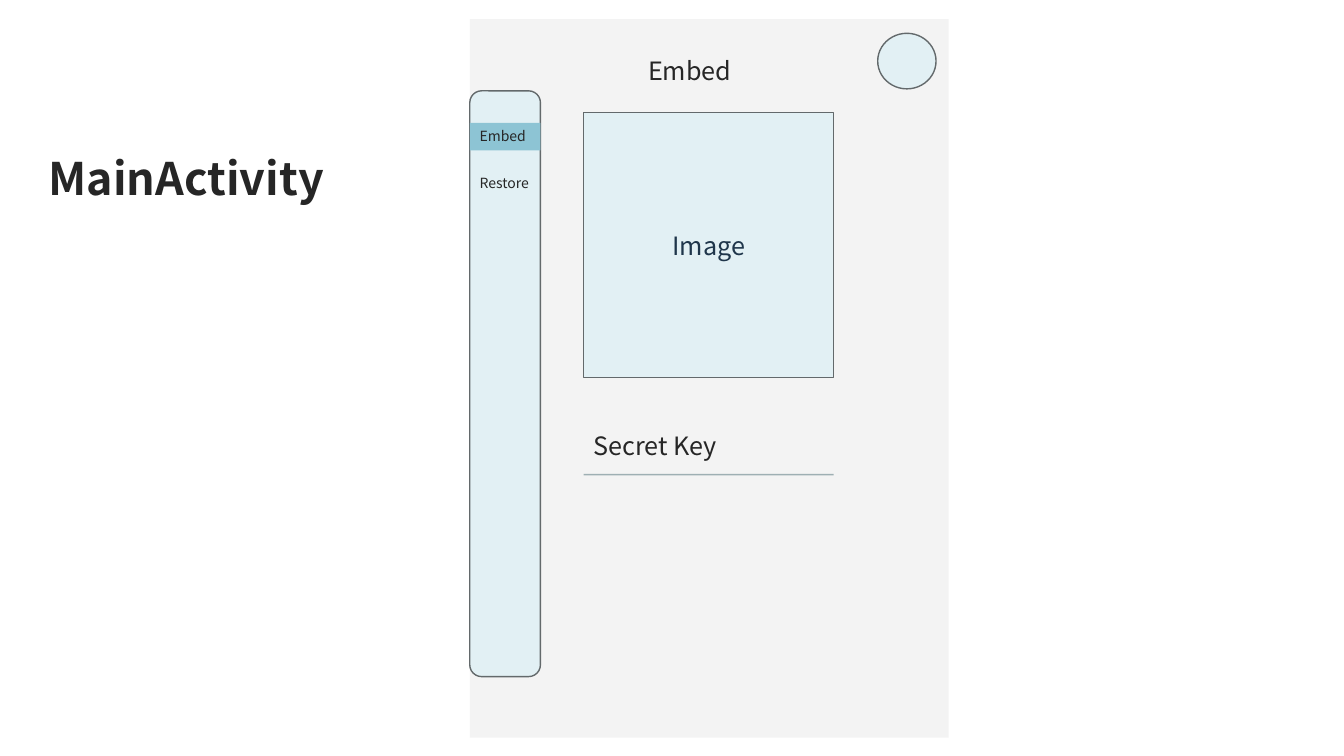
import pptx
import pptx.util
import pptx.dml.color
import pptx.enum.shapes
import pptx.enum.text
import pptx.oxml
import pptx.oxml.ns

Cm = pptx.util.Cm
Pt = pptx.util.Pt
RGBColor = pptx.dml.color.RGBColor
Shape = pptx.enum.shapes.MSO_SHAPE
Align = pptx.enum.text.PP_ALIGN
Anchor = pptx.enum.text.MSO_ANCHOR
AutoSize = pptx.enum.text.MSO_AUTO_SIZE

INK = RGBColor(0x26, 0x26, 0x26)
NAVY = RGBColor(0x1F, 0x36, 0x4B)
PALE = RGBColor(0xE2, 0xF0, 0xF4)
TEAL = RGBColor(0x8D, 0xC4, 0xD4)
OUTLINE = RGBColor(0x63, 0x69, 0x6B)
PANEL = RGBColor(0xE2, 0xE2, 0xE2)
RULE = RGBColor(0x20, 0x49, 0x55)


class Wireframe:
    font_name = "Noto Sans CJK SC"

    def __init__(self, deck):
        self.slide = deck.slides.add_slide(deck.slide_layouts[5])

    def fill_text(self, holder, words, size, color=INK, bold=False,
                  align=Align.LEFT, anchor=Anchor.TOP, fit=AutoSize.SHAPE_TO_FIT_TEXT):
        frame = holder.text_frame
        frame.text = words
        frame_format = {"word_wrap": True, "vertical_anchor": anchor, "auto_size": fit}
        for name, value in frame_format.items():
            setattr(frame, name, value)
        paragraph = frame.paragraphs[0]
        paragraph.alignment = align
        font = paragraph.runs[0].font
        font_format = {"name": self.font_name, "size": Pt(size), "bold": bold}
        for name, value in font_format.items():
            setattr(font, name, value)
        font.color.rgb = color
        return frame

    def title(self, words, box, size):
        heading = self.slide.shapes.title
        for name, value in zip(("left", "top", "width", "height"), box):
            setattr(heading, name, Cm(value))
        self.fill_text(heading, words, size, bold=True)

    def label(self, words, box, size, **style):
        holder = self.slide.shapes.add_textbox(*map(Cm, box))
        return self.fill_text(holder, words, size, **style)

    def block(self, kind, box, fill, outline=None, opacity=None):
        block = self.slide.shapes.add_shape(kind, *map(Cm, box))
        block.shadow.inherit = False
        block.fill.solid()
        block.fill.fore_color.rgb = fill
        if outline is None:
            block.line.fill.background()
        else:
            block.line.color.rgb = outline
            block.line.width = Pt(1)
        if opacity is not None:
            self.fade(block._element.spPr, opacity)
        return block

    def rule(self, left, right, y, color, opacity):
        rule = self.slide.shapes.add_connector(
            pptx.enum.shapes.MSO_CONNECTOR.STRAIGHT, Cm(left), Cm(y), Cm(right), Cm(y))
        rule.line.color.rgb = color
        rule.line.width = Pt(1)
        properties = rule._element.spPr
        self.fade(properties, opacity)
        properties.append(pptx.oxml.parse_xml(
            "<a:effectLst %s/>" % pptx.oxml.ns.nsdecls("a")))

    def fade(self, properties, opacity):
        color = properties.find(".//" + pptx.oxml.ns.qn("a:srgbClr"))
        color.append(pptx.oxml.parse_xml(
            '<a:alpha %s val="%d"/>' % (pptx.oxml.ns.nsdecls("a"), opacity * 1000)))


def main():
    deck = pptx.Presentation()
    deck.slide_width = Cm(33.87)
    deck.slide_height = Cm(19.05)
    screen = Wireframe(deck)

    edge, drawer_width, item_height = 11.84, 1.78, 0.69
    content_left, content_width = 14.71, 6.3

    screen.title("MainActivity", (0.97, 3.68, 8.53, 1.63), 32)
    screen.block(Shape.RECTANGLE, (edge, 0.48, 12.07, 18.11), PANEL, opacity=40)
    screen.block(Shape.OVAL, (22.12, 0.84, 1.47, 1.4), PALE, OUTLINE)
    screen.label("Embed", (13.41, 1.27, 7.95, 1.02), 18, align=Align.CENTER)

    screen.block(Shape.ROUNDED_RECTANGLE, (edge, 2.29, drawer_width, 14.76), PALE, OUTLINE)
    selected = screen.block(Shape.RECTANGLE, (edge, 3.1, drawer_width, item_height), TEAL)
    screen.fill_text(selected, "Embed", 10)
    restore = screen.label("Restore", (edge, 4.27, drawer_width, item_height), 10)
    restore.margin_right = 0

    preview = screen.block(
        Shape.RECTANGLE, (content_left, 2.84, content_width, 6.68), PALE, OUTLINE)
    screen.fill_text(preview, "Image", 18, color=NAVY, align=Align.CENTER,
                     anchor=Anchor.MIDDLE, fit=AutoSize.NONE)
    screen.label("Secret Key", (content_left, 10.72, content_width, 1.02), 18)
    screen.rule(content_left, content_left + content_width, 11.96, RULE, 40)

    deck.save("out.pptx")


if __name__ == "__main__":
    main()
